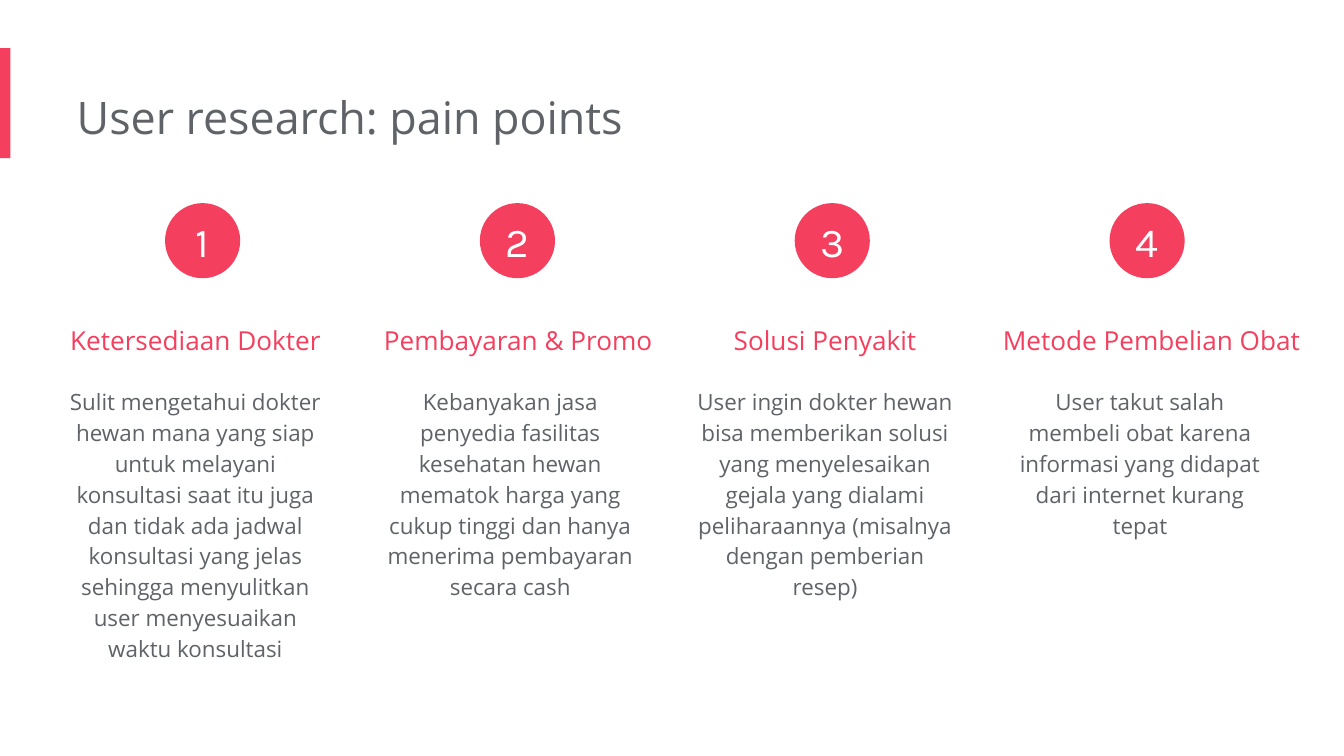
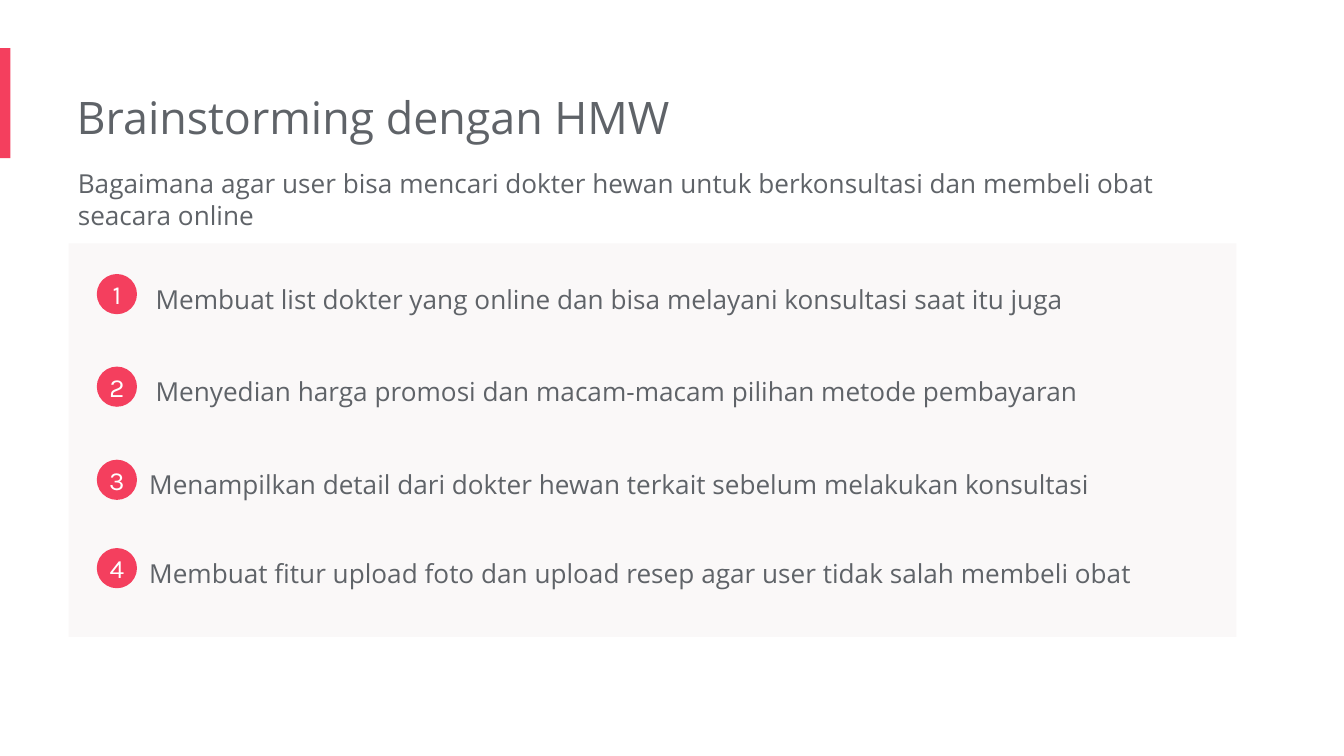
from dataclasses import dataclass

from pptx import Presentation
from pptx.dml.color import RGBColor
from pptx.enum.shapes import MSO_SHAPE as Shape
from pptx.enum.text import MSO_ANCHOR as Anchor, MSO_AUTO_SIZE as AutoSize, PP_ALIGN as Align
from pptx.oxml.ns import qn
from pptx.util import Cm, Pt


@dataclass(frozen=True)
class Theme:
    accent: str = "F43F5E"
    ink: str = "5F6368"
    panel: str = "FAF8F8"
    white: str = "FFFFFF"
    text_font: str = "Open Sans"
    number_font: str = "Karla"
    title_size: int = 24
    number_size: int = 22
    heading_size: int = 14
    small_size: int = 12
    inset: float = 0.25


THEME = Theme()
TITLE_AND_BODY, TITLE_ONLY = 1, 5

COLUMN_LEFT, COLUMN_STEP, COLUMN_WIDTH = 1.22, 5.95, 5.2
PAIN_POINTS = [
    ("Ketersediaan Dokter", 0, 5.2, 6.4,
     "Sulit mengetahui dokter hewan mana yang siap untuk melayani konsultasi saat itu juga "
     "dan tidak ada jadwal konsultasi yang jelas sehingga menyulitkan user menyesuaikan "
     "waktu konsultasi"),
    ("Pembayaran & Promo", 0, 5.5, 5.23,
     "Kebanyakan jasa penyedia fasilitas kesehatan hewan mematok harga yang cukup tinggi "
     "dan hanya menerima pembayaran secara cash"),
    ("Solusi Penyakit", 0, 5.2, 5.82,
     "User ingin dokter hewan bisa memberikan solusi yang menyelesaikan gejala yang dialami "
     "peliharaannya (misalnya dengan pemberian resep)"),
    ("Metode Pembelian Obat", -0.32, 6.28, 4.06,
     "User takut salah membeli obat karena informasi yang didapat dari internet kurang tepat"),
]

QUESTION = ("Bagaimana agar user bisa mencari dokter hewan untuk berkonsultasi "
            "dan membeli obat seacara online")
IDEAS = [
    (2.69, 5.18, 20.1, 1.19,
     "Membuat list dokter yang online dan bisa melayani konsultasi saat itu juga"),
    (2.69, 6.93, 20.42, 1.19,
     "Menyedian harga promosi dan macam-macam pilihan metode pembayaran"),
    (2.57, 8.69, 20.22, 1.19,
     "Menampilkan detail dari dokter hewan terkait sebelum melakukan konsultasi"),
    (2.57, 10.36, 20.22, 1.88,
     "Membuat fitur upload foto dan upload resep agar user tidak salah membeli obat"),
]


def apply(target, **values):
    for name, value in values.items():
        setattr(target, name, value)


def place(box, left, top, width, height):
    apply(box, left=Cm(left), top=Cm(top), width=Cm(width), height=Cm(height))


def write(box, text, size, color=THEME.ink, font=THEME.text_font, align=Align.LEFT,
          spacing=1.0, anchor=Anchor.TOP, left_inset=0, inset=THEME.inset):
    frame = box.text_frame
    apply(frame, word_wrap=True, auto_size=AutoSize.NONE, vertical_anchor=anchor,
          margin_left=Cm(left_inset), margin_top=Cm(inset),
          margin_right=Cm(inset), margin_bottom=Cm(inset))
    para = frame.paragraphs[0]
    apply(para, alignment=align, line_spacing=spacing, space_before=Pt(0))
    span = para.add_run()
    span.text = text
    apply(span.font, name=font, size=Pt(size))
    span.font.color.rgb = RGBColor.from_string(color)


def add_text(page, area, text, size, **style):
    box = page.shapes.add_textbox(*map(Cm, area))
    write(box, text, size, **style)


def add_block(page, kind, area, fill):
    block = page.shapes.add_shape(kind, *map(Cm, area))
    block.shadow.inherit = False
    block.fill.solid()
    block.fill.fore_color.rgb = RGBColor.from_string(fill)
    block.line.fill.background()
    return block


def add_number(page, left, top, diameter, number, size):
    circle = add_block(page, Shape.OVAL, (left, top, diameter, diameter), THEME.accent)
    write(circle, str(number), size, color=THEME.white, font=THEME.number_font,
          align=Align.CENTER, anchor=Anchor.MIDDLE, inset=0)


def add_page(deck, layout, title):
    page = deck.slides.add_slide(deck.slide_layouts[layout])
    add_block(page, Shape.RECTANGLE, (0, 0.91, 0.2, 2.08), THEME.accent)
    place(page.shapes.title, 1.45, 1.45, 17.1, 1.55)
    write(page.shapes.title, title, THEME.title_size)
    return page


def fill_lead(page, text):
    body = page.placeholders[1]
    place(body, 1.47, 2.92, 21.87, 1.68)
    props = body.text_frame.paragraphs[0]._p.get_or_add_pPr()
    props.set("marL", "0")
    props.set("indent", "0")
    props.append(props.makeelement(qn("a:buNone"), {}))
    write(body, text, THEME.heading_size)


def add_pain_points(page):
    for index, (heading, shift, width, height, detail) in enumerate(PAIN_POINTS):
        left = COLUMN_LEFT + index * COLUMN_STEP
        add_number(page, left + 1.9, 3.84, 1.42, index + 1, THEME.number_size)
        add_text(page, (left + shift, 5.59, width, 1.42), heading, THEME.heading_size,
                 color=THEME.accent, align=Align.CENTER, spacing=1.5)
        add_text(page, (left, 7.01, COLUMN_WIDTH, height), detail, THEME.small_size,
                 align=Align.CENTER, spacing=1.15)


def add_ideas(page):
    add_block(page, Shape.RECTANGLE, (1.3, 4.6, 22.07, 7.44), THEME.panel)
    for number, (left, top, width, height, idea) in enumerate(IDEAS, 1):
        add_text(page, (left, top - 0.17, width, height), idea, THEME.heading_size,
                 spacing=1.15, left_inset=THEME.inset)
        add_number(page, 1.83, top, 0.76, number, THEME.heading_size)


def main():
    deck = Presentation()
    apply(deck, slide_width=Cm(25.4), slide_height=Cm(14.29))
    add_pain_points(add_page(deck, TITLE_ONLY, "User research: pain points"))
    brainstorm = add_page(deck, TITLE_AND_BODY, "Brainstorming dengan HMW")
    fill_lead(brainstorm, QUESTION)
    add_ideas(brainstorm)
    deck.save("out.pptx")


if __name__ == "__main__":
    main()
